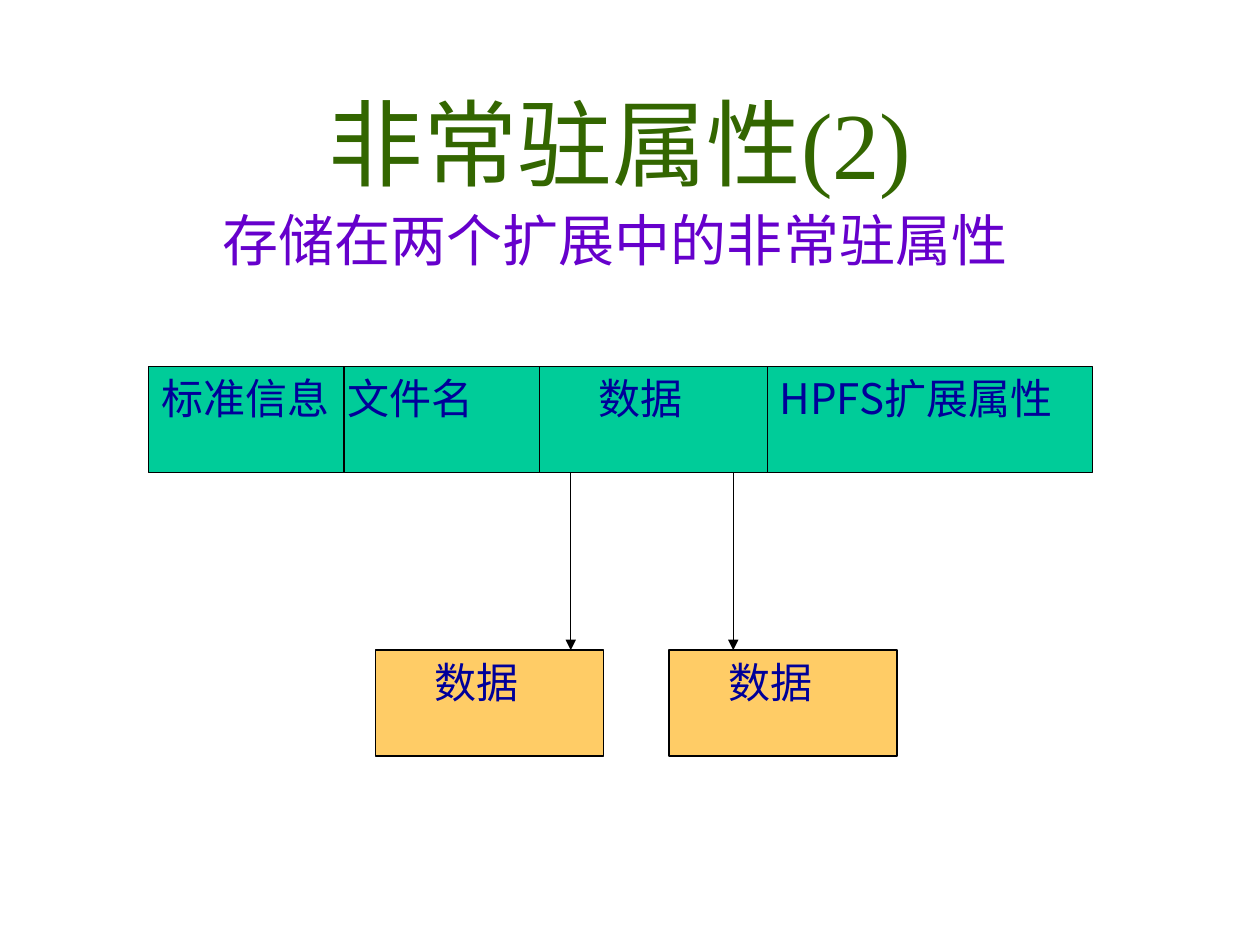
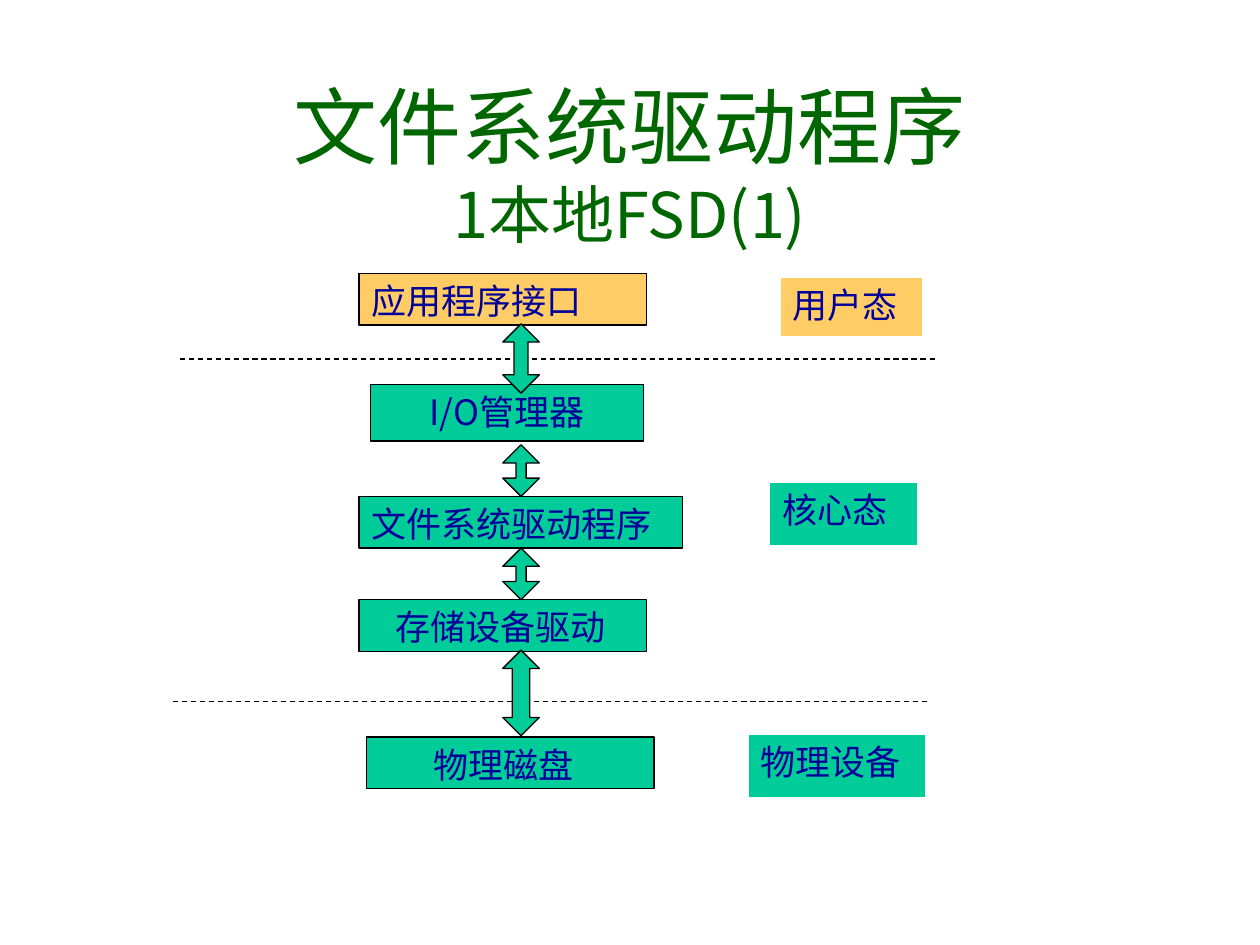
from dataclasses import dataclass
from lxml import etree
from pptx import Presentation
from pptx.dml.color import RGBColor
from pptx.enum.dml import MSO_LINE
from pptx.enum.shapes import MSO_CONNECTOR, MSO_SHAPE
from pptx.enum.text import MSO_ANCHOR, PP_ALIGN
from pptx.oxml.ns import qn
from pptx.util import Inches, Pt

RECT = MSO_SHAPE.RECTANGLE
ARROW = MSO_SHAPE.UP_DOWN_ARROW
STRAIGHT = MSO_CONNECTOR.STRAIGHT
DASH = MSO_LINE.DASH
TOP, MIDDLE = MSO_ANCHOR.TOP, MSO_ANCHOR.MIDDLE
LEFT, CENTER = PP_ALIGN.LEFT, PP_ALIGN.CENTER


@dataclass(frozen=True)
class Theme:
    """Colours, fonts and type sizes of the deck."""
    green: str = "00CC99"
    gold: str = "FFCC66"
    navy: str = "000099"
    olive: str = "336600"
    forest: str = "006600"
    purple: str = "6600CC"
    black: str = "000000"
    white: str = "FFFFFF"
    sans: str = "Noto Sans CJK JP"
    serif: str = "Times New Roman"
    line: float = 0.75
    huge: int = 54
    head: int = 48
    sub: int = 36
    lead: int = 32
    cell: int = 24
    layer: int = 20


THEME = Theme()


def tint(code):
    """Turn a hex code into a colour."""
    return RGBColor.from_string(code)


def write(shape, text, sizes, color, font, align=LEFT, anchor=TOP, inset=0.1):
    """Write one paragraph per line, each in its own size."""
    frame = shape.text_frame
    frame.text = text
    frame.word_wrap = True
    frame.vertical_anchor = anchor
    frame.margin_left = Inches(inset)
    frame.margin_right = Inches(0.1 if align == CENTER else 0)
    for para, size in zip(frame.paragraphs, sizes):
        para.alignment = align
        for run in para.runs:
            run.font.size = Pt(size)
            run.font.name = font
            run.font.color.rgb = tint(color)
            east = etree.SubElement(run.font._element, qn("a:ea"))
            east.set("typeface", THEME.sans)


def add_text(slide, box, text, sizes, color, font, **style):
    """Add a text box."""
    shape = slide.shapes.add_textbox(*map(Inches, box))
    write(shape, text, sizes, color, font, **style)


def add_form(slide, kind, box, fill, edge=THEME.black):
    """Add a filled shape with a thin edge."""
    shape = slide.shapes.add_shape(kind, *map(Inches, box))
    shape.shadow.inherit = False
    shape.fill.solid()
    shape.fill.fore_color.rgb = tint(fill)
    shape.line.color.rgb = tint(edge)
    shape.line.width = Pt(THEME.line)
    return shape


def add_block(slide, box, text, size, fill, font=THEME.sans, inset=0.1,
              edge=THEME.black):
    """Add a rectangle with a navy caption."""
    shape = add_form(slide, RECT, box, fill, edge)
    write(shape, text, [size], THEME.navy, font, inset=inset)


def add_line(slide, start, end, dash=False, arrow=False):
    """Add a black line, dashed or with an arrowhead."""
    line = slide.shapes.add_connector(STRAIGHT, *map(Inches, start + end))
    line.line.color.rgb = tint(THEME.black)
    line.line.width = Pt(THEME.line)
    if dash:
        line.line.dash_style = DASH
    if arrow:
        tail = etree.SubElement(line.line._get_or_add_ln(), qn("a:tailEnd"))
        tail.set("type", "triangle")
    etree.SubElement(line._element.spPr, qn("a:effectLst"))


def draw_record(slide, left, top):
    """Draw the file record and the two extents it points to."""
    high, drop, wide, pad = 0.84, 2.25, 1.81, 0.47
    cells = [("标准信息", 1.55, THEME.sans, 0.1),
             ("文件名", 1.55, THEME.sans, 0.03),
             ("数据", wide, THEME.serif, pad),
             ("HPFS扩展属性", 2.58, THEME.sans, 0.1)]
    x = left
    for text, width, font, inset in cells:
        add_block(slide, (x, top, width, high), text, THEME.cell,
                  THEME.green, font, inset)
        x += width
    for x, tip in ((1.8, 3.35), (4.13, 4.64)):
        add_block(slide, (left + x, top + drop, wide, high), "数据",
                  THEME.cell, THEME.gold, THEME.serif, pad)
        add_line(slide, (left + tip, top + high), (left + tip, top + drop),
                 arrow=True)


def draw_stack(slide, left, top):
    """Draw the driver layers, their borders and the arrows between."""
    layers = [("应用程序接口", 0, 0, 2.28, 0.41, THEME.gold, 0.1),
              ("I/O管理器", 0.09, 0.88, 2.17, 0.45, THEME.green, 0.47),
              ("文件系统驱动程序", 0, 1.77, 2.57, 0.41, THEME.green, 0.1),
              ("存储设备驱动", 0, 2.59, 2.28, 0.41, THEME.green, 0.29),
              ("物理磁盘", 0.06, 3.68, 2.28, 0.41, THEME.green, 0.53)]
    for text, x, y, width, high, fill, inset in layers:
        add_block(slide, (left + x, top + y, width, high), text,
                  THEME.layer, fill, inset=inset)
    for x, y in ((-1.42, 0.68), (-1.48, 3.4)):
        add_line(slide, (left + x, top + y), (left + x + 5.99, top + y),
                 dash=True)
    wide = 0.29
    for y, high, point in ((0.4, 0.55, 0.38), (1.36, 0.41, 0.28),
                           (2.18, 0.41, 0.28), (2.99, 0.68, 0.48)):
        arrow = add_form(slide, ARROW, (left + 1.14, top + y, wide, high),
                         THEME.green)
        arrow.adjustments[0] = 0.5
        arrow.adjustments[1] = point


def draw_modes(slide, left, top):
    """Label the mode of each zone beside the stack."""
    modes = [("用户态", 0.25, 0, 1.13, 0.47, THEME.gold),
             ("核心态", 0.17, 1.63, 1.17, 0.5, THEME.green),
             ("物理设备", 0, 3.63, 1.41, 0.5, THEME.green)]
    for text, x, y, width, high, fill in modes:
        add_block(slide, (left + x, top + y, width, high), text,
                  THEME.layer, fill, edge=THEME.white)


def add_title(slide, left, top, text, sizes, color, font):
    """Add the centred slide title."""
    add_text(slide, (left, top, 8.5, 1.25), text, sizes, color, font,
             align=CENTER, anchor=MIDDLE)


def fill_extents(slide):
    """Build the slide on non-resident attributes."""
    add_title(slide, 0.67, 0.5, "非常驻属性(2)", [THEME.huge], THEME.olive,
              THEME.serif)
    add_text(slide, (1.67, 1.58, 6.46, 0.84), "存储在两个扩展中的非常驻属性",
             [THEME.lead], THEME.purple, THEME.serif)
    draw_record(slide, 1.18, 2.91)


def fill_driver(slide):
    """Build the slide on the local file system driver."""
    add_title(slide, 0.75, 0.67, "文件系统驱动程序\n1本地FSD(1)",
              [THEME.head, THEME.sub], THEME.forest, THEME.sans)
    draw_stack(slide, 2.85, 2.17)
    draw_modes(slide, 5.94, 2.2)


def main():
    """Build and save the deck."""
    deck = Presentation()
    deck.slide_width, deck.slide_height = Inches(10), Inches(7.5)
    for fill in (fill_extents, fill_driver):
        fill(deck.slides.add_slide(deck.slide_layouts[6]))
    deck.save("out.pptx")


if __name__ == "__main__":
    main()
